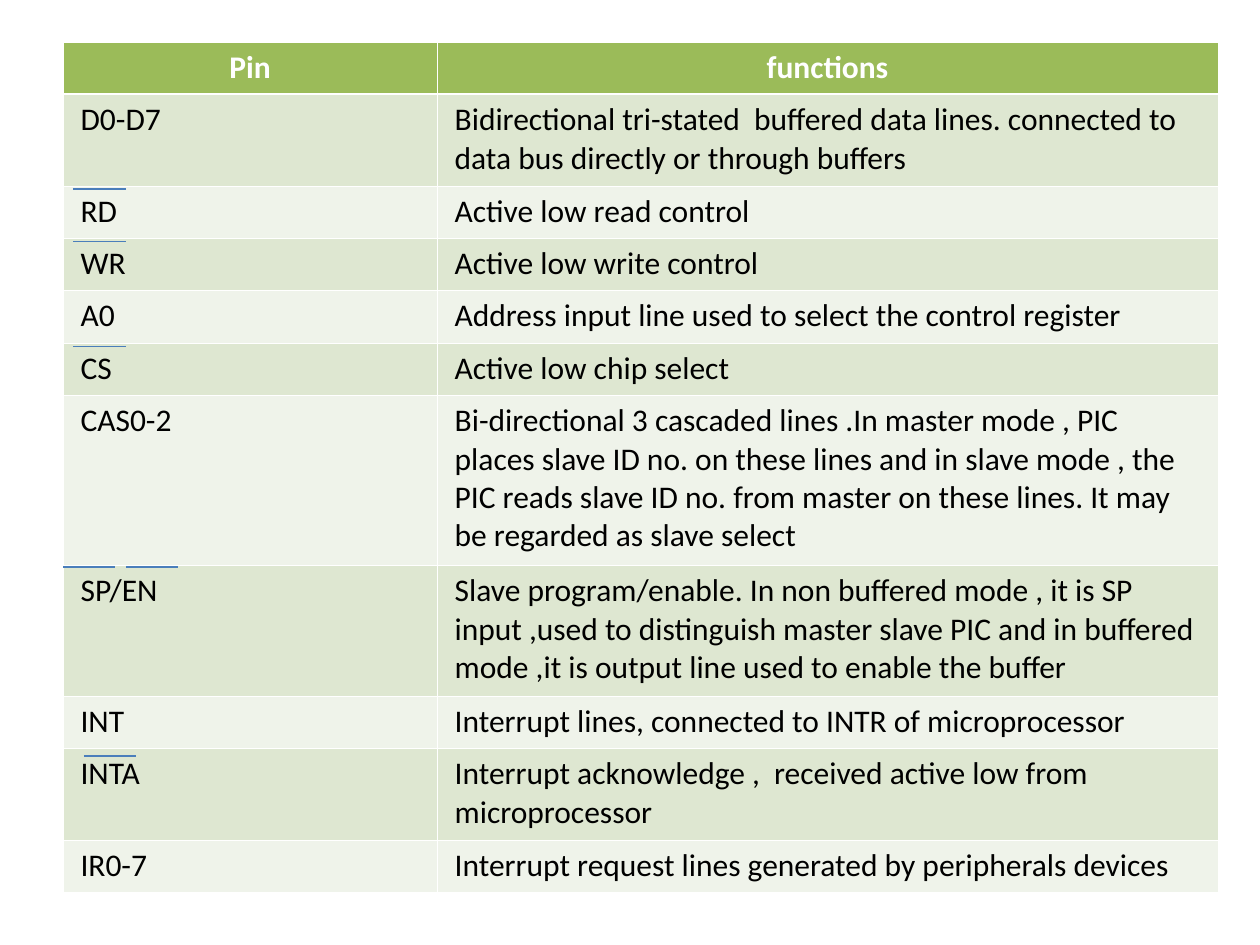
import pptx
import pptx.dml.color
import pptx.enum.shapes
import pptx.enum.text
import pptx.oxml.ns
import pptx.util
from lxml import etree

UNIT = 1 / 12
BOX = (6, 4, 110, 81)
COLS = (2.97, 6.2)
TALL = {1: 5, 2: 8.75, 3: 12.5, 4: 16.25}
PINS = [
    ("Pin", "functions", 1),
    ("D0-D7", "Bidirectional tri-stated  buffered data lines. connected to data bus directly or through buffers", 2),
    ("RD", "Active low read control", 1),
    ("WR", "Active low write control", 1),
    ("A0", "Address input line used to select the control register", 1),
    ("CS", "Active low chip select", 1),
    ("CAS0-2", "Bi-directional 3 cascaded lines .In master mode , PIC places slave ID no. on these lines and in "
     "slave mode , the PIC reads slave ID no. from master on these lines. It may be regarded as slave select", 4),
    ("SP/EN", "Slave program/enable. In non buffered mode , it is SP input ,used to distinguish master slave PIC "
     "and in buffered mode ,it is output line used to enable the buffer", 3),
    ("INT", "Interrupt lines, connected to INTR of microprocessor", 1),
    ("INTA", "Interrupt acknowledge ,  received active low from microprocessor", 2),
    ("IR0-7", "Interrupt request lines generated by peripherals devices", 1),
]
BARS = [(1, 14), (1, 19), (1, 29), (6, 50), (2, 68), (0, 50)]
SPAN = 5


def grid(count):
    """Turn grid units into a length."""
    return pptx.util.Inches(count * UNIT)


def color(code):
    """Turn a hex string into a colour."""
    return pptx.dml.color.RGBColor.from_string(code)


def write(cell, text, size=18, ink="000000", bold=False, align="LEFT"):
    """Put formatted text in a cell."""
    para = cell.text_frame.paragraphs[0]
    para.alignment = getattr(pptx.enum.text.PP_ALIGN, align)
    run = para.add_run()
    run.text = text
    run.font.name = "Calibri"
    run.font.size = pptx.util.Pt(size)
    run.font.bold = bold
    run.font.color.rgb = color(ink)


def border(cell, **widths):
    """Draw white borders of the given point widths."""
    props = cell._tc.get_or_add_tcPr()
    name = pptx.oxml.ns.qn
    for side in "LRTB":
        width = pptx.util.Pt(widths.get(side, 0.45))
        edge = etree.SubElement(props, name("a:ln" + side), w=str(width))
        fill = etree.SubElement(edge, name("a:solidFill"))
        etree.SubElement(fill, name("a:srgbClr"), val="FFFFFF")


def pin_table(slide, left, top, width, height):
    """Build the table of pins and their functions."""
    frame = slide.shapes.add_table(len(PINS), len(COLS), grid(left), grid(top), grid(width), grid(height))
    table = frame.table
    for col, share in zip(table.columns, COLS):
        col.width = int(grid(width) * share / sum(COLS))
    total = sum(TALL[lines] for _, _, lines in PINS)
    for index, (pin, use, lines) in enumerate(PINS):
        table.rows[index].height = grid(height * TALL[lines] / total)
        head = index == 0
        look = dict(ink="FFFFFF", bold=True, align="CENTER") if head else {}
        shade = "9BBB59" if head else ("EFF3EA", "DEE7D1")[index % 2]
        edges = {0: {"B": 1.47}, 1: {"T": 1.47}}.get(index, {})
        for cell, text in zip(table.rows[index].cells, (pin, use)):
            cell.margin_left = cell.margin_right = pptx.util.Inches(0.14)
            cell.margin_top = cell.margin_bottom = pptx.util.Inches(0.05)
            border(cell, **edges)
            cell.fill.solid()
            cell.fill.fore_color.rgb = color(shade)
            write(cell, text, **look)


def over_bars(slide, left, top):
    """Draw the bars over the active-low pin names."""
    kind = pptx.enum.shapes.MSO_CONNECTOR.STRAIGHT
    for col, row in BARS:
        start, level = left + col, grid(top + row)
        bar = slide.shapes.add_connector(kind, grid(start), level, grid(start + SPAN), level)
        bar.line.color.rgb = color("4A7EBB")
        bar.line.width = pptx.util.Pt(0.75)
        etree.SubElement(bar._element.spPr, pptx.oxml.ns.qn("a:effectLst"))


def main():
    """Build and save the slide."""
    deck = pptx.Presentation()
    deck.slide_width, deck.slide_height = grid(120), grid(90)
    slide = deck.slides.add_slide(deck.slide_layouts[6])
    pin_table(slide, *BOX)
    over_bars(slide, *BOX[:2])
    deck.save("out.pptx")


if __name__ == "__main__":
    main()
